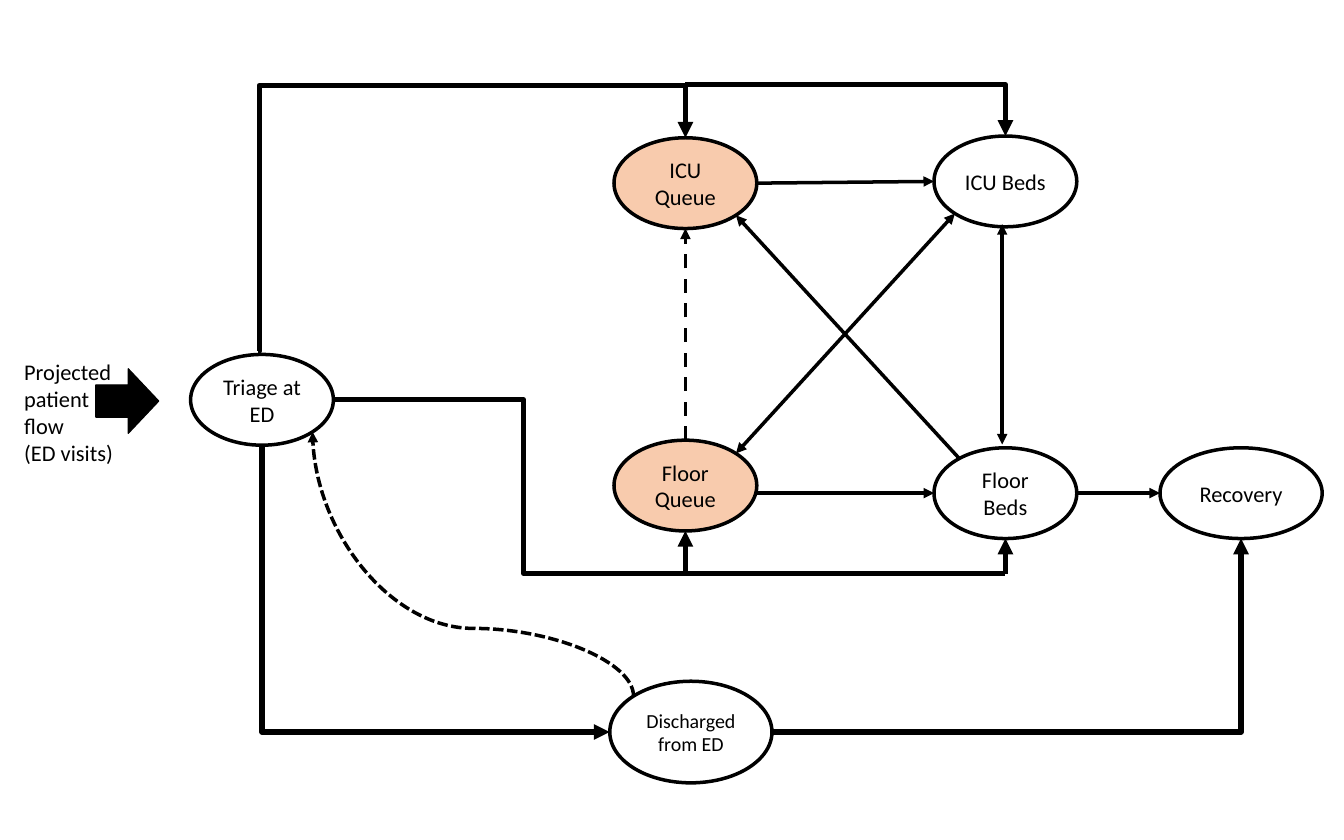
from dataclasses import dataclass

from lxml.etree import SubElement
from pptx import Presentation
from pptx.dml.color import RGBColor
from pptx.enum.dml import MSO_LINE
from pptx.enum.shapes import MSO_CONNECTOR, MSO_SHAPE
from pptx.enum.text import MSO_ANCHOR, PP_ALIGN
from pptx.oxml.ns import qn
from pptx.util import Pt


@dataclass(frozen=True)
class Theme:
    """Colours, type sizes and line widths of the slide."""
    ink: RGBColor = RGBColor(0, 0, 0)
    paper: RGBColor = RGBColor(255, 255, 255)
    queue: RGBColor = RGBColor(0xF8, 0xCB, 0xAD)
    font: str = "Calibri"
    body: float = 19.2
    small: float = 17.1
    hairline: float = 1
    thin: float = 3
    thick: float = 4.5


SPOTS = {
    "top": (0.5, 0), "bottom": (0.5, 1), "left": (0, 0.5), "right": (1, 0.5),
    "top left": (0.146, 0.146), "top right": (0.854, 0.146),
    "bottom left": (0.146, 0.854), "bottom right": (0.854, 0.854),
}


def apply(target, **values):
    """Set each format value on the target."""
    for name, value in values.items():
        setattr(target, name, value)


def spot(box, side):
    """Return a named point on the rim of an ellipse, in points."""
    across, down = SPOTS[side]
    return (box.left.pt + across * box.width.pt,
            box.top.pt + down * box.height.pt)


class FlowPage:
    """Holds the theme and the slide being drawn."""

    def __init__(self, deck, theme):
        """Add a blank slide to the deck."""
        self.theme = theme
        self.shapes = deck.slides.add_slide(deck.slide_layouts[6]).shapes

    def fill_text(self, frame, lines, size, align):
        """Put one paragraph per line into a text frame."""
        frame.word_wrap = True
        for index, line in enumerate(lines):
            para = frame.add_paragraph() if index else frame.paragraphs[0]
            para.alignment = align
            span = para.add_run()
            span.text = line
            apply(span.font, name=self.theme.font, size=Pt(size))
            span.font.color.rgb = self.theme.ink

    def shape(self, kind, area, fill, width):
        """Draw a filled, outlined preset shape."""
        box = self.shapes.add_shape(kind, *map(Pt, area))
        box.shadow.inherit = False
        box.fill.solid()
        box.fill.fore_color.rgb = fill
        box.line.color.rgb = self.theme.ink
        box.line.width = Pt(width)
        return box

    def node(self, text, left, top, width=122.4, height=77.8,
             fill=None, size=None):
        """Draw a labelled ellipse for one stage of the flow."""
        box = self.shape(MSO_SHAPE.OVAL, (left, top, width, height),
                         fill or self.theme.paper, self.theme.thin)
        apply(box.text_frame, vertical_anchor=MSO_ANCHOR.MIDDLE,
              margin_left=Pt(7.9), margin_right=Pt(7.9),
              margin_top=Pt(3.6), margin_bottom=Pt(3.6))
        self.fill_text(box.text_frame, [text], size or self.theme.body,
                       PP_ALIGN.CENTER)
        return box

    def block_arrow(self, area):
        """Draw the solid arrow that leads into the flow."""
        box = self.shape(MSO_SHAPE.RIGHT_ARROW, area, self.theme.ink,
                         self.theme.hairline)
        box.adjustments[1] = 0.484

    def label(self, lines, area):
        """Place free text, one paragraph per line."""
        box = self.shapes.add_textbox(*map(Pt, area))
        self.fill_text(box.text_frame, lines, self.theme.body, PP_ALIGN.LEFT)

    def link(self, start, end, width=None, ends="tail", dash=None,
             kind=MSO_CONNECTOR.STRAIGHT):
        """Draw a connector with arrowheads at the named ends."""
        line = self.shapes.add_connector(kind, *map(Pt, start + end))
        line.line.color.rgb = self.theme.ink
        line.line.width = Pt(width or self.theme.thin)
        if dash:
            line.line.dash_style = dash
        properties = line.element.spPr
        for name in ends.split():
            SubElement(properties.find(qn("a:ln")), qn(f"a:{name}End"),
                       type="triangle")
        SubElement(properties, qn("a:effectLst"))
        return line

    def bend(self, line, preset, *adjustments):
        """Give a connector its preset route and its turning points."""
        geometry = line.element.spPr.find(qn("a:prstGeom"))
        geometry.set("prst", preset)
        guides = geometry.find(qn("a:avLst"))
        for number, share in enumerate(adjustments, 1):
            SubElement(guides, qn("a:gd"), name=f"adj{number}",
                       fmla=f"val {round(share * 100000)}")

    def elbow(self, start, end, turns, *adjustments, ends="tail"):
        """Draw a thick right-angled route that leaves horizontally."""
        line = self.link(start, end, self.theme.thick, ends,
                         kind=MSO_CONNECTOR.ELBOW)
        self.bend(line, f"bentConnector{turns + 1}", *adjustments)

    def curve(self, start, end, share):
        """Draw a dashed curve up and left that leaves vertically."""
        middle_x, middle_y = (sum(pair) / 2 for pair in zip(start, end))
        half_x, half_y = (abs(a - b) / 2 for a, b in zip(start, end))
        line = self.link((middle_x - half_y, middle_y + half_x),
                         (middle_x + half_y, middle_y - half_x),
                         dash=MSO_LINE.SQUARE_DOT, kind=MSO_CONNECTOR.CURVE)
        line.element.spPr.find(qn("a:xfrm")).set("rot", str(270 * 60000))
        self.bend(line, "curvedConnector3", share)


def draw_flow(page):
    """Draw the patient flow from arrival to recovery."""
    theme = page.theme
    queue_x, beds_x = 526.3, 800.6
    icu_queue = page.node("ICU Queue", queue_x, 118.1, fill=theme.queue)
    icu_beds = page.node("ICU Beds", beds_x, 116.6)
    floor_queue = page.node("Floor Queue", queue_x, 377.3, fill=theme.queue)
    floor_beds = page.node("Floor Beds", beds_x, 383.8)
    triage = page.node("Triage at ED", 163.4, 303.8)
    recovery = page.node("Recovery", 994.3, 383.8, width=139)
    discharged = page.node("Discharged from ED", 522.7, 583.9, 139, 87.1,
                           size=theme.small)

    page.block_arrow((82.1, 316.1, 54, 55.4))
    page.label(["Projected patient flow", "(ED visits)"],
               (13.7, 303.8, 96.5, 100.1))

    # Moves between queues, beds and recovery
    page.link(spot(icu_queue, "right"), spot(icu_beds, "left"))
    floor_y = spot(floor_beds, "left")[1]
    page.link((spot(floor_queue, "right")[0], floor_y),
              spot(floor_beds, "left"))
    page.link(spot(floor_beds, "right"), spot(recovery, "left"))
    page.link(spot(floor_queue, "top"), spot(icu_queue, "bottom"),
              dash=MSO_LINE.DASH)
    page.link((859, 381), (859, 192.2), ends="head tail")
    page.link((823, 393.8), spot(icu_queue, "bottom right"))
    page.link(spot(floor_queue, "top right"), spot(icu_beds, "bottom left"),
              ends="head tail")

    # Routes out of triage and discharge
    queue_top, beds_top = spot(icu_queue, "top"), spot(icu_beds, "top")
    page.elbow((221.4, 301), queue_top, 3, 0.002, 1.244)
    page.elbow((queue_top[0], 72.7), beds_top, 1)
    trunk_y = 491.4
    page.elbow(spot(triage, "right"), (beds_top[0], trunk_y), 2, 0.283,
               ends="")
    for target in (floor_queue, floor_beds):
        x, y = spot(target, "bottom")
        page.link((x, trunk_y + 1), (x, y), theme.thick)
    page.elbow(spot(discharged, "left"), spot(triage, "bottom"), 1,
               ends="head")
    page.elbow(spot(discharged, "right"), spot(recovery, "bottom"), 1)
    page.curve(spot(discharged, "top left"), spot(triage, "bottom right"),
               0.256)


def main():
    """Build and save the deck."""
    deck = Presentation()
    apply(deck, slide_width=Pt(1152), slide_height=Pt(720))
    draw_flow(FlowPage(deck, Theme()))
    deck.save("out.pptx")


main()
